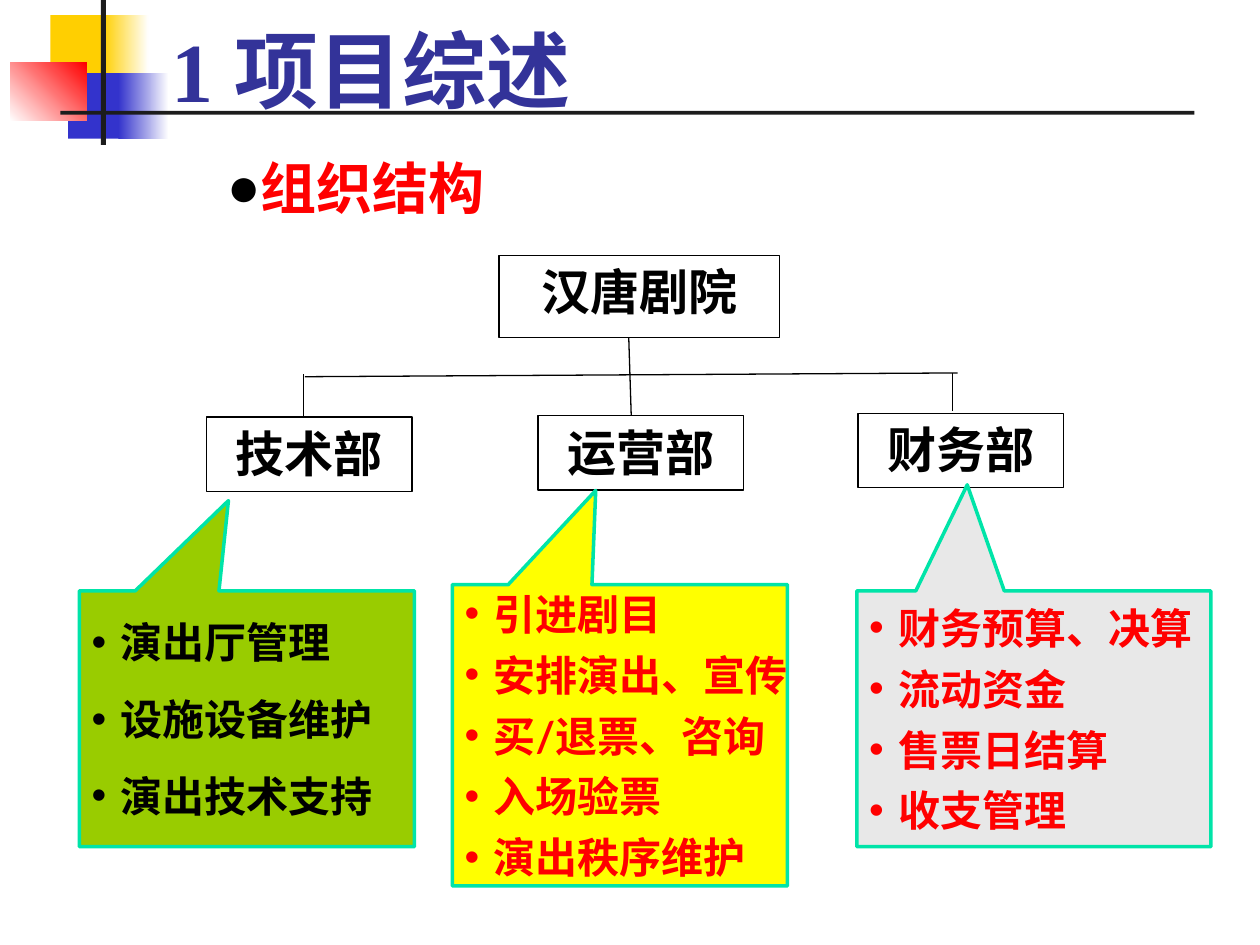
from lxml.etree import SubElement
from pptx import Presentation
from pptx.dml.color import RGBColor
from pptx.enum.shapes import MSO_CONNECTOR, MSO_SHAPE
from pptx.enum.text import MSO_ANCHOR, MSO_AUTO_SIZE, PP_ALIGN
from pptx.oxml.ns import qn
from pptx.util import Inches, Pt

BLACK, WHITE, RED = "000000", "FFFFFF", "FF0000"
YELLOW, BLUE, INK, TEAL = "FFCF01", "3333CC", "1C1C1C", "00E4A8"


def color(value):
    return RGBColor.from_string(value)


def inches(*values):
    return [Inches(value) for value in values]


class SlideBuilder:
    serif, box_font, list_font = "Times New Roman", "Calibri", "Lato"

    def __init__(self, slide):
        self.slide = slide

    def set_text(self, paragraph, text, name, size, text_color, before=0):
        paragraph.text = text
        paragraph.space_before = Pt(before)
        font = paragraph.font
        font.name, font.size, font.bold = name, Pt(size), True
        font.color.rgb = color(text_color)

    def bullet(self, paragraph, character, bullet_color, margin, indent):
        properties = paragraph._p.get_or_add_pPr()
        properties.set("marL", str(Inches(margin)))
        properties.set("indent", str(Inches(indent)))
        holder = SubElement(properties, qn("a:buClr"))
        SubElement(holder, qn("a:srgbClr"), val=bullet_color)
        SubElement(properties, qn("a:buFont"), typeface="Arial")
        SubElement(properties, qn("a:buChar"), char=character)
        # Text defaults must come after the bullet settings
        properties.append(properties.find(qn("a:defRPr")))

    def placeholder(self, index, bounds, anchor, text, size, text_color, before=0):
        shape = self.slide.placeholders[index]
        shape.left, shape.top, shape.width, shape.height = inches(*bounds)
        # Bring the text in front of the decoration
        shape._element.getparent().append(shape._element)
        frame = shape.text_frame
        frame.auto_size, frame.vertical_anchor = MSO_AUTO_SIZE.NONE, anchor
        paragraph = frame.paragraphs[0]
        paragraph.alignment = PP_ALIGN.LEFT
        self.set_text(paragraph, text, self.serif, size, text_color, before)
        return paragraph

    def shape(self, kind, bounds, fill, line=None, width=0.75):
        shape = self.slide.shapes.add_shape(kind, *inches(*bounds))
        shape.shadow.inherit = False
        shape.fill.solid()
        shape.fill.fore_color.rgb = color(fill)
        if line:
            shape.line.color.rgb = color(line)
            shape.line.width = Pt(width)
        else:
            shape.line.fill.background()
        return shape

    def gradient(self, bounds, start, end, angle=0):
        fill = self.shape(MSO_SHAPE.RECTANGLE, bounds, start).fill
        fill.gradient()
        fill.gradient_angle = angle
        for stop, value in zip(fill.gradient_stops, (start, end)):
            stop.color.rgb = color(value)

    def box(self, bounds, text):
        frame = self.shape(MSO_SHAPE.RECTANGLE, bounds, WHITE, BLACK).text_frame
        frame.vertical_anchor = MSO_ANCHOR.TOP
        paragraph = frame.paragraphs[0]
        paragraph.alignment = PP_ALIGN.CENTER
        self.set_text(paragraph, text, self.box_font, 28, BLACK, 17.5)

    def line(self, *ends):
        connector = self.slide.shapes.add_connector(MSO_CONNECTOR.STRAIGHT, *inches(*ends))
        connector.line.color.rgb = color(BLACK)
        connector.line.width = Pt(0.75)
        SubElement(connector._element.spPr, qn("a:effectLst"))

    def callout(self, bounds, tip, fill, text_color, before, items):
        shape = self.shape(MSO_SHAPE.RECTANGULAR_CALLOUT, bounds, fill, TEAL, 2)
        shape.adjustments[0], shape.adjustments[1] = tip
        frame = shape.text_frame
        frame.word_wrap, frame.vertical_anchor = False, MSO_ANCHOR.MIDDLE
        for index, item in enumerate(items):
            paragraph = frame.add_paragraph() if index else frame.paragraphs[0]
            paragraph.alignment = PP_ALIGN.LEFT
            self.set_text(paragraph, item, self.list_font, 24, text_color, before)
            self.bullet(paragraph, "•", text_color, 0.23, -0.23)


def main():
    presentation = Presentation()
    presentation.slide_width, presentation.slide_height = inches(10, 7.5)
    builder = SlideBuilder(presentation.slides.add_slide(presentation.slide_layouts[1]))

    # Corner decoration and title rule
    builder.shape(MSO_SHAPE.RECTANGLE, (0.4, 0.12, 0.48, 0.52), YELLOW)
    builder.gradient((0.82, 0.12, 0.36, 0.52), YELLOW, WHITE)
    builder.shape(MSO_SHAPE.RECTANGLE, (0.54, 0.58, 0.46, 0.52), BLUE)
    builder.gradient((0.94, 0.58, 0.4, 0.52), BLUE, WHITE)
    builder.gradient((0.08, 0.5, 0.61, 0.46), WHITE, RED, 45)
    builder.shape(MSO_SHAPE.RECTANGLE, (0.8, 0, 0.04, 1.15), INK)
    builder.shape(MSO_SHAPE.RECTANGLE, (0.48, 0.88, 9, 0.03), INK)

    # Heading and title
    heading = builder.placeholder(1, (0.7, 1.17, 9.14, 0.7), MSO_ANCHOR.TOP,
                                  "组织结构", 32, RED, 8)
    builder.bullet(heading, "●", BLACK, 0, 1)
    builder.placeholder(0, (1.26, 0.08, 8.19, 0.92), MSO_ANCHOR.BOTTOM,
                        "1 项目综述", 48, "333399")

    # Organisation chart
    builder.line(2.41, 2.97, 2.41, 3.32)
    builder.line(7.56, 2.96, 7.56, 3.26)
    builder.line(4.99, 2.67, 5.01, 3.3)
    builder.box((3.96, 2.03, 2.23, 0.65), "汉唐剧院")
    for left, top, name in ((1.64, 3.31, "技术部"), (4.27, 3.3, "运营部"),
                            (6.81, 3.28, "财务部")):
        builder.box((left, top, 1.63, 0.59), name)
    builder.line(2.42, 2.99, 7.6, 2.96)

    # Duties of each department
    builder.callout((0.63, 4.69, 2.66, 2.03), (-0.055, -0.853), "99CC00", BLACK, 15,
                    ("演出厅管理", "设施设备维护", "演出技术支持"))
    builder.callout((3.59, 4.64, 2.66, 2.39), (-0.072, -0.813), "FFFF00", RED, 6,
                    ("引进剧目", "安排演出、宣传", "买/退票、咨询", "入场验票", "演出秩序维护"))
    builder.callout((6.8, 4.69, 2.81, 2.03), (-0.188, -0.915), "E8E8E8", RED, 6,
                    ("财务预算、决算", "流动资金", "售票日结算", "收支管理"))

    presentation.save("out.pptx")


if __name__ == "__main__":
    main()
